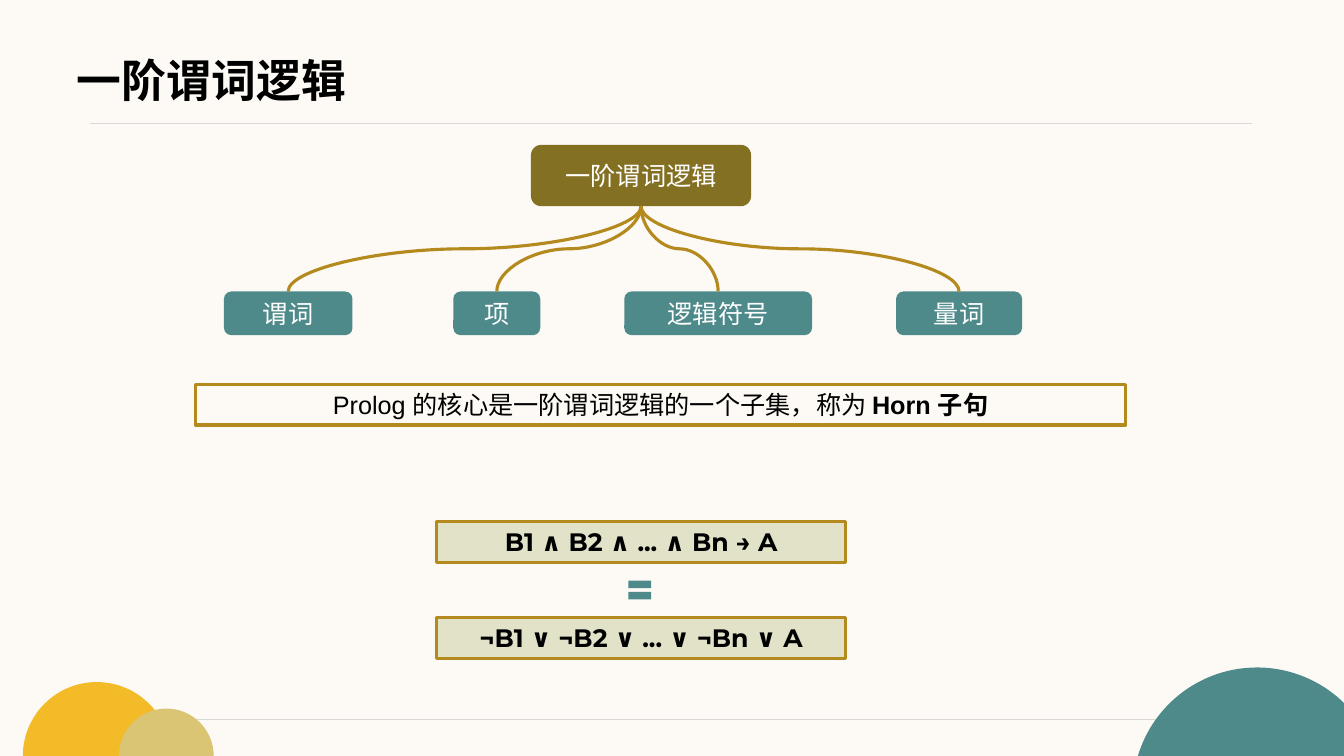
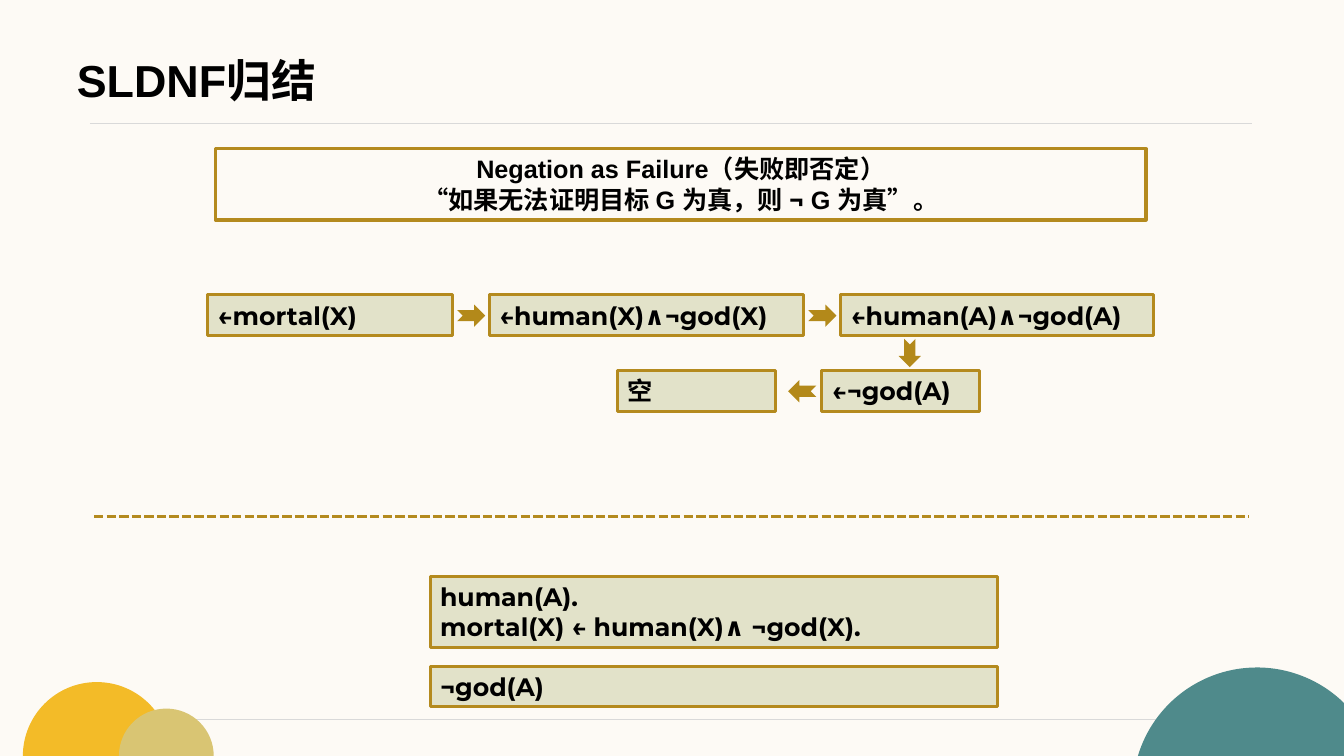
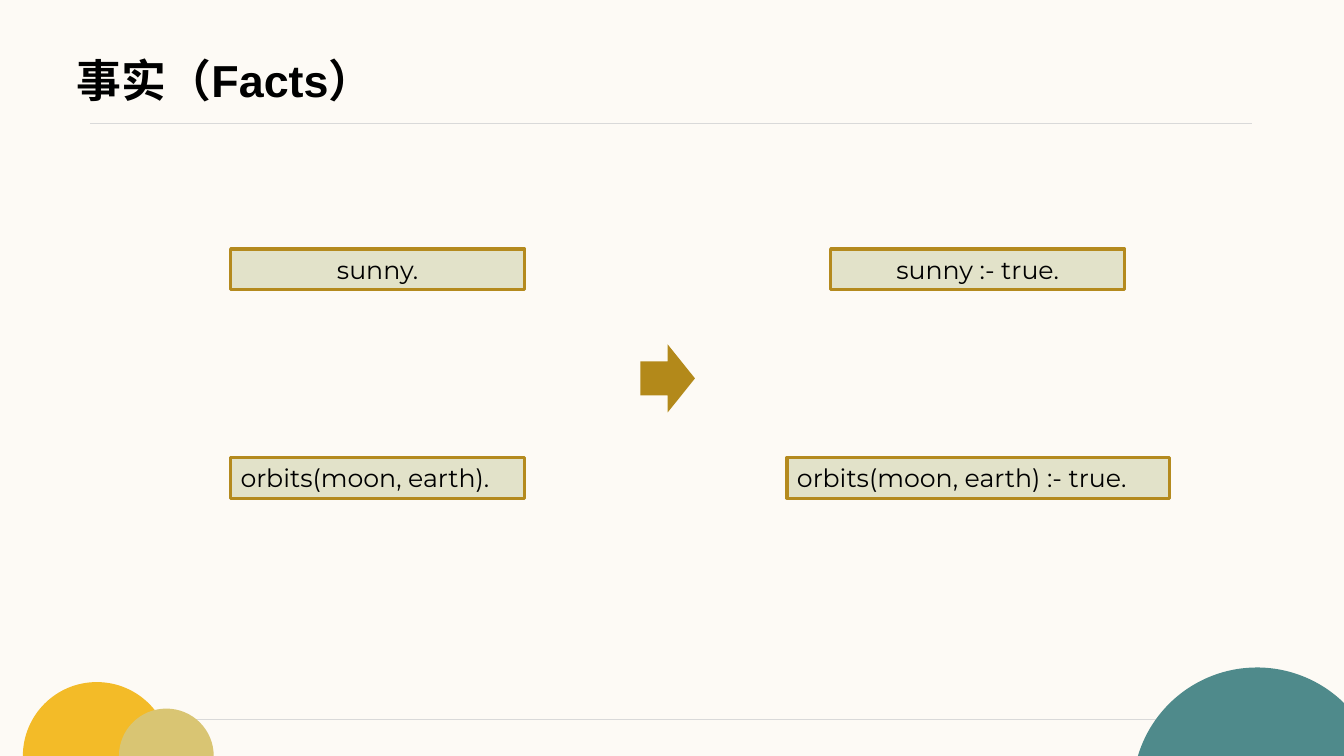
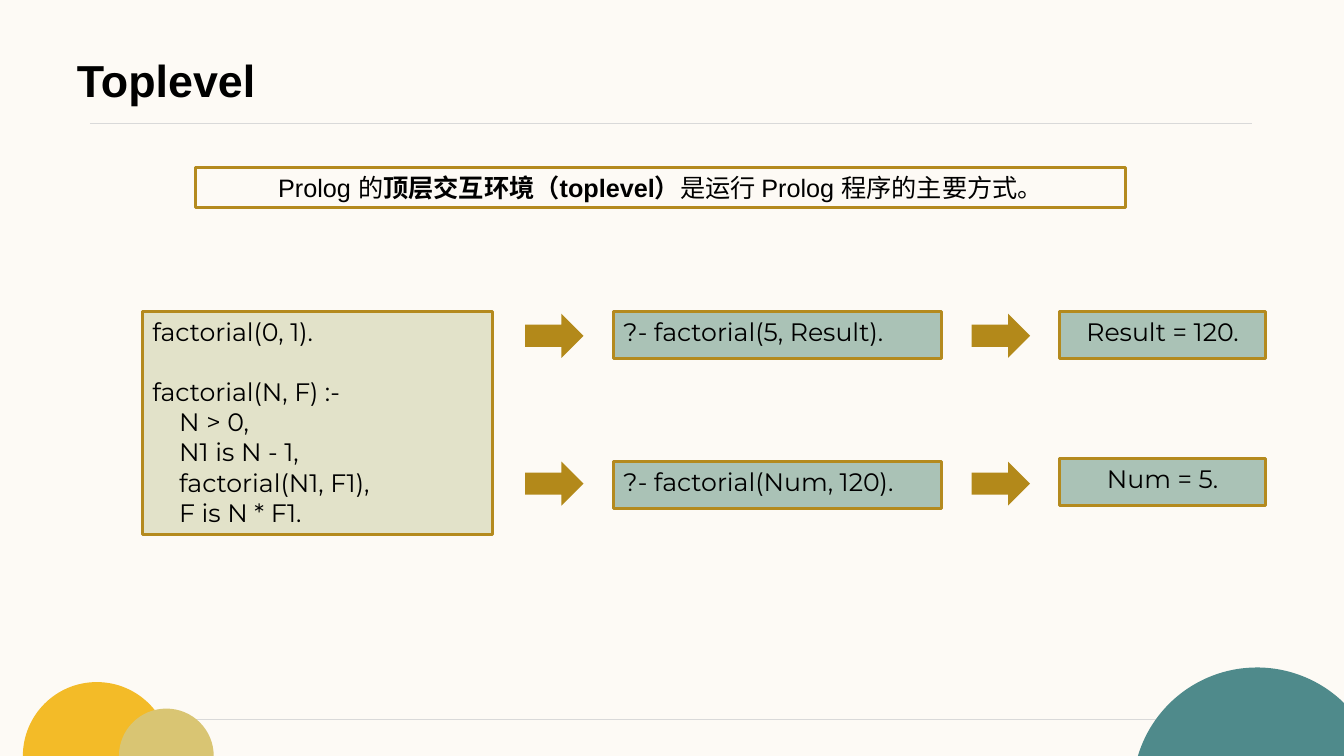
from dataclasses import dataclass
from math import acos, asin, cos, pi, sin, tan
from typing import NamedTuple, Optional

from lxml import etree
from pptx import Presentation
from pptx.dml.color import RGBColor
from pptx.enum.dml import MSO_LINE
from pptx.enum.lang import MSO_LANGUAGE_ID
from pptx.enum.shapes import MSO_CONNECTOR, MSO_SHAPE
from pptx.enum.text import MSO_ANCHOR, PP_ALIGN
from pptx.oxml.ns import qn
from pptx.slide import Slide
from pptx.util import Inches, Pt

RECT, ROUNDED = MSO_SHAPE.RECTANGLE, MSO_SHAPE.ROUNDED_RECTANGLE
ARROW, NOTCHED = MSO_SHAPE.RIGHT_ARROW, MSO_SHAPE.NOTCHED_RIGHT_ARROW
EQUAL = MSO_SHAPE.MATH_EQUAL
STRAIGHT, CURVE = MSO_CONNECTOR.STRAIGHT, MSO_CONNECTOR.CURVE
LEFT, CENTER = PP_ALIGN.LEFT, PP_ALIGN.CENTER
TOP, MIDDLE = MSO_ANCHOR.TOP, MSO_ANCHOR.MIDDLE
DASH = MSO_LINE.SQUARE_DOT
CHINESE = MSO_LANGUAGE_ID.SIMPLIFIED_CHINESE
BLANK = 6

# The grid: 160 columns by 90 rows of square cells
WIDTH, HEIGHT = Inches(13.33), Inches(7.5)
COLS, ROWS = 160, 90
CELL = HEIGHT / ROWS


@dataclass(frozen=True)
class Theme:
    paper: str = "FDFAF5"
    ink: str = "000000"
    white: str = "FFFFFF"
    rule: str = "D9D9D9"
    teal: str = "4F8A8B"
    yellow: str = "F3BB28"
    sand: str = "D9C573"
    olive: str = "837023"
    gold: str = "B48A1E"
    arrow: str = "B3891A"
    code: str = "E2E2C9"
    query: str = "AAC2B6"
    sans: str = "Arial"
    mono: str = "Montserrat"
    title_size: float = 32
    body_size: float = 18
    line_gap: float = 21
    border: float = 2.25
    hairline: float = 0.5


THEME = Theme()


class Box(NamedTuple):
    x: float
    y: float
    w: float
    h: float = 4.85


class Run(NamedTuple):
    text: str
    bold: Optional[bool] = None
    font: Optional[str] = None


class Para(NamedTuple):
    runs: list[Run]
    indent: float = 0
    before: float = 0


class Cap(NamedTuple):
    """A circle cut off by the slide's edges."""
    cx: float
    top: float
    radius: float
    color: str


class Node(NamedTuple):
    text: str
    box: Box


CAPS = [
    Cap(11.52, 81.2, 8.8, THEME.yellow),
    Cap(19.8, 84.36, 5.64, THEME.sand),
    Cap(149.6, 79.46, 14.8, THEME.teal),
]


def emu(cells: float) -> int:
    return round(cells * CELL)


def rgb(color: str) -> RGBColor:
    return RGBColor.from_string(color)


# Text
def write(sp, text, *, size: float = THEME.body_size, font: str = THEME.sans,
          color: str = THEME.ink, bold: bool = False, align=LEFT,
          anchor=TOP, margin: Optional[float] = None) -> None:
    """Fill a shape with a string or a list of paragraphs."""
    tf = sp.text_frame
    tf.word_wrap = True
    tf.vertical_anchor = anchor
    if margin is not None:
        tf.margin_left = tf.margin_right = tf.margin_top = tf.margin_bottom = margin
    paras = [Para([Run(text)])] if isinstance(text, str) else text
    for i, para in enumerate(paras):
        p = tf.add_paragraph() if i else tf.paragraphs[0]
        p.alignment = align
        if para.before:
            p.space_before = Pt(para.before)
        if para.indent:
            p._p.get_or_add_pPr().set("marL", str(emu(para.indent)))
        for run in para.runs:
            r = p.add_run()
            r.text = run.text
            r.font.size = Pt(size)
            r.font.name = run.font or font
            r.font.bold = bold if run.bold is None else run.bold
            r.font.color.rgb = rgb(color)
            r.font.language_id = CHINESE


# Shapes
def paint(sp, fill: Optional[str], line: Optional[str] = None) -> None:
    sp.shadow.inherit = False
    if fill:
        sp.fill.solid()
        sp.fill.fore_color.rgb = rgb(fill)
    else:
        sp.fill.background()
    if line:
        sp.line.color.rgb = rgb(line)
        sp.line.width = Pt(THEME.border)
    else:
        sp.line.fill.background()


def add_shape(s: Slide, kind, box: Box, fill: Optional[str],
              line: Optional[str] = None, rotation: float = 0):
    sp = s.shapes.add_shape(kind, *map(emu, box))
    sp.rotation = rotation
    paint(sp, fill, line)
    return sp


def add_panel(s: Slide, box: Box, text, fill: Optional[str] = THEME.code,
              **fmt) -> None:
    """A gold-edged box with text."""
    write(add_shape(s, RECT, box, fill, THEME.gold), text,
          **{"font": THEME.mono, **fmt})


def add_note(s: Slide, y: float, text, x: float = 23.25, h: float = 4.85, **fmt) -> None:
    add_panel(s, Box(x, y, 110.75, h), text, None, font=THEME.sans,
              align=CENTER, **fmt)


def add_node(s: Slide, node: Node, fill: str) -> None:
    write(add_shape(s, ROUNDED, node.box, fill), node.text,
          color=THEME.white, align=CENTER, anchor=MIDDLE)


def add_line(s: Slide, x1: float, y1: float, x2: float, y2: float,
             color: str = THEME.gold, width: float = THEME.border, kind=STRAIGHT):
    c = s.shapes.add_connector(kind, *map(emu, (x1, y1, x2, y2)))
    c.line.color.rgb = rgb(color)
    c.line.width = Pt(width)
    etree.SubElement(c._element.spPr, qn("a:effectLst"))
    return c


def add_branch(s: Slide, parent: Box, child: Box) -> None:
    """A curve from the parent's bottom to the child's top, turned upright."""
    x1, y1 = parent.x + parent.w / 2, parent.y + parent.h
    x2, y2 = child.x + child.w / 2, child.y
    mx, my = (x1 + x2) / 2, (y1 + y2) / 2
    half_w, half_h = (x1 - x2) / 2, (y2 - y1) / 2
    c = add_line(s, mx - half_h, my - half_w, mx + half_h, my + half_w, kind=CURVE)
    c._element.spPr.find(qn("a:xfrm")).set("rot", str(90 * 60000))


def add_cap(s: Slide, cap: Cap) -> None:
    """Two Bezier arcs, from the left edge over the top to the right edge."""
    cy = cap.top + cap.radius
    left = acos(max(-1, min(1, (cy - ROWS) / cap.radius)))
    reach = (COLS - cap.cx) / cap.radius
    right = min(left, asin(reach) if reach < 1 else pi)

    def point(angle: float, along: float = 0) -> tuple[int, int]:
        """A spot on the circle, moved along its tangent."""
        return (emu(cap.cx + cap.radius * (sin(angle) + along * cos(angle))),
                emu(cy - cap.radius * (cos(angle) - along * sin(angle))))

    points = [point(-left)]
    for a, b in ((-left, 0), (0, right)):
        pull = 4 / 3 * tan((b - a) / 4)
        points += [point(a, pull), point(b, -pull), point(b)]
    if right < left:
        points.append((emu(COLS), emu(ROWS)))
    outline = s.shapes.build_freeform(*points[0], scale=1.0)
    outline.add_line_segments(points[1:], close=True)
    sp = outline.convert_to_shape()
    # Turn each three straight segments of the arcs into one curve
    segments = list(sp._element.iter(qn("a:lnTo")))
    for i in (0, 3):
        curve = etree.Element(qn("a:cubicBezTo"))
        segments[i].addprevious(curve)
        for segment in segments[i:i + 3]:
            curve.append(segment[0])
            segment.getparent().remove(segment)
    paint(sp, cap.color)


# What all slides share
def dress_layout(layout, s: Slide) -> None:
    """Draw the rules and circles once and hand them to the layout."""
    layout.background.fill.solid()
    layout.background.fill.fore_color.rgb = rgb(THEME.paper)
    for ph in list(layout.placeholders):
        ph._element.getparent().remove(ph._element)
    add_line(s, 10.7, 14.7, 149, 14.7, THEME.rule, THEME.hairline)
    add_cap(s, CAPS[0])
    add_line(s, 20.3, 85.65, 138.6, 85.65, THEME.rule, THEME.hairline)
    for cap in CAPS[1:]:
        add_cap(s, cap)
    for sp in list(s.shapes):
        layout.shapes._spTree.append(sp._element)


def add_title(s: Slide, title: str) -> None:
    sp = s.shapes.add_textbox(*map(emu, Box(9.15, 4.7, 141.7, 9.5)))
    write(sp, title, size=THEME.title_size, bold=True, anchor=MIDDLE, margin=0)


def logic_slide(s: Slide) -> None:
    add_title(s, "一阶谓词逻辑")
    # Concept tree
    root = Node("一阶谓词逻辑", Box(63.2, 17.25, 26.2, 7.3))
    columns = [("谓词", 26.65, 15.3), ("项", 53.95, 10.35),
               ("逻辑符号", 74.3, 22.35), ("量词", 106.65, 15)]
    add_node(s, root, THEME.olive)
    for text, x, w in columns:
        child = Node(text, Box(x, 34.7, w, 5.2))
        add_node(s, child, THEME.teal)
        add_branch(s, root.box, child.box)
    # Horn clauses
    add_note(s, 45.75, [Para([Run("Prolog 的核心是一阶谓词逻辑的一个子集，称为 "),
                              Run("Horn 子句", True)])])
    for y, formula in ((62.1, "B1 ∧ B2 ∧ ... ∧ Bn → A"),
                       (73.55, "¬B1 ∨ ¬B2 ∨ ... ∨ ¬Bn ∨ A")):
        add_panel(s, Box(51.97, y, 48.7), formula, bold=True, align=CENTER)
    add_shape(s, EQUAL, Box(74.3, 68.35, 3.7, 3.8), THEME.teal)


def resolution_slide(s: Slide) -> None:
    add_title(s, "SLDNF归结")
    add_note(s, 17.7, [
        Para([Run("Negation as Failure（失败即否定）")]),
        Para([Run("“如果无法证明目标 G 为真，则 "), Run("¬", font=THEME.mono),
              Run(" G 为真”。")]),
    ], x=25.65, h=8.5, bold=True)
    # Derivation steps
    steps = [
        Node("←mortal(X)", Box(24.7, 35.1, 29.2)),
        Node("←human(X)∧¬god(X)", Box(58.22, 35.1, 37.4)),
        Node("←human(A)∧¬god(A)", Box(100.05, 35.1, 37.2)),
        Node("←¬god(A)", Box(97.8, 44.12, 18.75)),
        Node("空", Box(73.53, 44.12, 18.75)),
    ]
    for step in steps:
        add_panel(s, step.box, step.text, bold=True)
    for x, y, turn in ((54.4, 36.25, 0), (96.2, 36.25, 0),
                       (106.6, 40.7, 90), (93.8, 45.25, 180)):
        add_shape(s, NOTCHED, Box(x, y, 3.35, 2.65), THEME.arrow, rotation=turn)
    # Program and assumption
    add_line(s, 11.2, 61.5, 148.7, 61.5).line.dash_style = DASH
    add_panel(s, Box(51.2, 68.6, 67.5, 8.5),
              [Para([Run("human(A).")]),
               Para([Run("mortal(X) ← human(X)∧ ¬god(X).")])], bold=True)
    add_panel(s, Box(51.2, 79.3, 67.5), "¬god(A)", bold=True)


def facts_slide(s: Slide) -> None:
    add_title(s, "事实（Facts）")
    for y, fact, align, x, w in ((29.65, "sunny", CENTER, 98.87, 35),
                                 (54.45, "orbits(moon, earth)", LEFT, 93.67, 45.5)):
        add_panel(s, Box(27.45, y, 35), f"{fact}.", align=align)
        add_panel(s, Box(x, y, w), f"{fact} :- true.", align=align)
    add_shape(s, ARROW, Box(76.22, 41, 6.5, 8.1), THEME.arrow)


def toplevel_slide(s: Slide) -> None:
    add_title(s, "Toplevel")
    add_note(s, 19.9, [Para([Run("Prolog 的"),
                             Run("顶层交互环境（toplevel）", True),
                             Run("是运行 Prolog 程序的主要方式。")])])
    # Program
    body = ["N > 0,", "N1 is N - 1,", "factorial(N1, F1),", "F is N * F1."]
    add_panel(s, Box(16.95, 37.1, 41.65, 26.5), [
        Para([Run("factorial(0, 1).")]),
        Para([Run("factorial(N, F) :-")], before=THEME.line_gap),
        *(Para([Run(goal)], indent=3.2) for goal in body),
    ])
    # Queries and answers
    for query_y, arrow_y, answer_y, query, answer in (
            (37.1, 37.35, 37.1, "?- factorial(5, Result).", "Result = 120."),
            (54.92, 54.95, 54.6, "?- factorial(Num, 120).", "Num = 5.")):
        for x in (62.5, 115.65):
            add_shape(s, ARROW, Box(x, arrow_y, 6.95, 5.25), THEME.arrow)
        add_panel(s, Box(73.03, query_y, 39.05, 5.6), query, THEME.query)
        add_panel(s, Box(126.1, answer_y, 24.55, 5.6), answer, THEME.query,
                  align=CENTER)


def main() -> None:
    prs = Presentation()
    prs.slide_width, prs.slide_height = WIDTH, HEIGHT
    layout = prs.slide_layouts[BLANK]
    builders = (logic_slide, resolution_slide, facts_slide, toplevel_slide)
    slides = [prs.slides.add_slide(layout) for _ in builders]
    dress_layout(layout, slides[0])
    for build, s in zip(builders, slides):
        build(s)
    prs.save("out.pptx")


if __name__ == "__main__":
    main()
